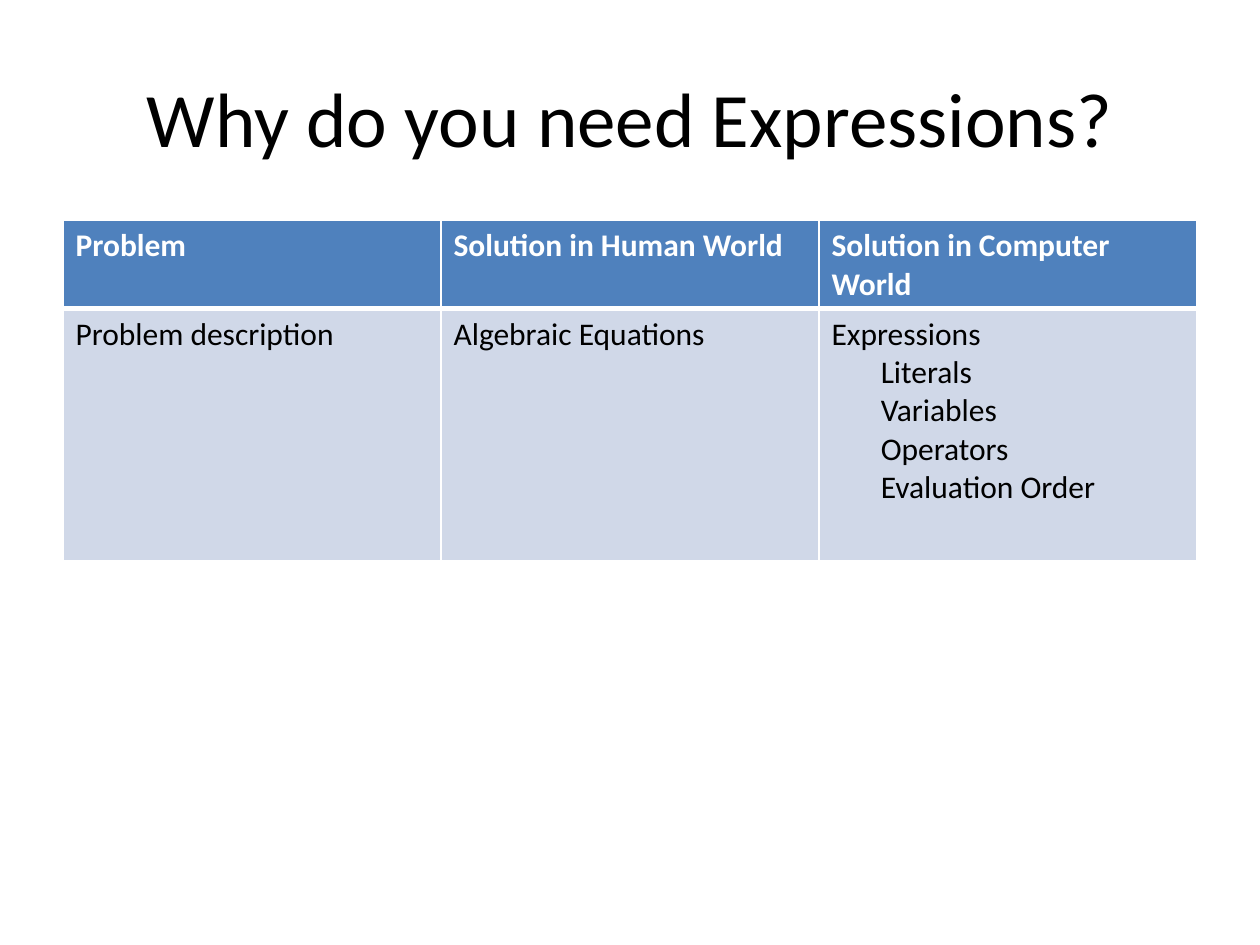
from lxml import etree
from pptx import Presentation
from pptx.dml.color import RGBColor
from pptx.enum.text import MSO_ANCHOR, PP_ALIGN
from pptx.oxml.ns import qn
from pptx.util import Inches, Pt

CENTER = PP_ALIGN.CENTER
LEFT = PP_ALIGN.LEFT
MIDDLE = MSO_ANCHOR.MIDDLE

WHITE = "FFFFFF"
BLACK = "000000"
BLUE = "4F81BD"
PALE = "D0D8E8"

HEADS = ["Problem", "Solution in Human World", "Solution in Computer World"]
BODY = [
    ["Problem description"],
    ["Algebraic Equations"],
    ["Expressions", "Literals", "Variables", "Operators", "Evaluation Order"],
]


def color(code):
    return RGBColor.from_string(code)


def write(para, text, size=18, ink=BLACK, bold=False, align=LEFT, indent=0):
    para.alignment = align
    if indent:
        para._p.get_or_add_pPr().set("marL", str(Inches(indent)))
    run = para.add_run()
    run.text = text
    font = run.font
    font.name = "Calibri"
    font.size = Pt(size)
    font.bold = bold
    font.color.rgb = color(ink)


def add_title(slide, text):
    box = slide.shapes.add_textbox(Inches(0.5), Inches(0.3), Inches(9), Inches(1.25))
    frame = box.text_frame
    frame.word_wrap = True
    frame.vertical_anchor = MIDDLE
    write(frame.paragraphs[0], text, size=44, align=CENTER)


def add_edges(cell, widths):
    props = cell._tc.get_or_add_tcPr()
    for spot, (side, width) in enumerate(widths.items()):
        line = etree.Element(qn(f"a:ln{side}"), w=str(Pt(width)))
        fill = etree.SubElement(line, qn("a:solidFill"))
        etree.SubElement(fill, qn("a:srgbClr"), val=WHITE)
        props.insert(spot, line)


def fill_cell(cell, lines, back, top=1, base=1, **style):
    cell.fill.solid()
    cell.fill.fore_color.rgb = color(back)
    add_edges(cell, {"L": 1, "R": 1, "T": top, "B": base})
    frame = cell.text_frame
    for spot, line in enumerate(lines):
        para = frame.add_paragraph() if spot else frame.paragraphs[0]
        write(para, line, indent=0.39 if spot else 0, **style)


def add_grid(slide):
    frame = slide.shapes.add_table(
        2, len(HEADS), Inches(0.5), Inches(1.75), Inches(9), Inches(2.7)
    )
    table = frame.table
    for row, height in zip(table.rows, (0.7, 2)):
        row.height = Inches(height)
    for col, (head, lines) in enumerate(zip(HEADS, BODY)):
        fill_cell(table.cell(0, col), [head], BLUE, base=3, ink=WHITE, bold=True)
        fill_cell(table.cell(1, col), lines, PALE, top=3)


def main():
    deck = Presentation()
    deck.slide_width = Inches(10)
    deck.slide_height = Inches(7.5)
    slide = deck.slides.add_slide(deck.slide_layouts[6])
    add_title(slide, "Why do you need Expressions?")
    add_grid(slide)
    deck.save("out.pptx")


if __name__ == "__main__":
    main()
